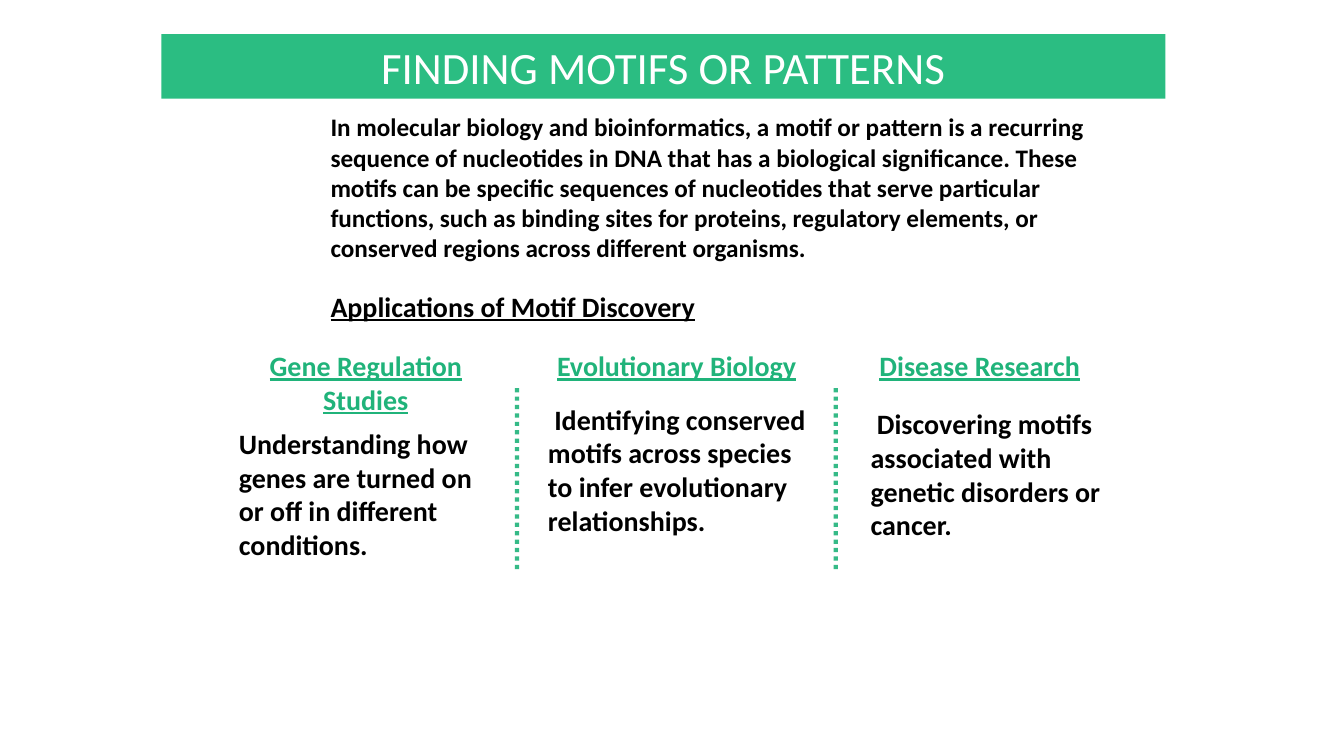
from lxml import etree
from pptx import Presentation
from pptx.dml.color import RGBColor
from pptx.enum.dml import MSO_LINE
from pptx.enum.shapes import MSO_CONNECTOR, MSO_SHAPE
from pptx.enum.text import MSO_ANCHOR, PP_ALIGN
from pptx.oxml.ns import qn
from pptx.util import Cm, Pt

LEFT, CENTER = PP_ALIGN.LEFT, PP_ALIGN.CENTER
MIDDLE = MSO_ANCHOR.MIDDLE
DOTTED = MSO_LINE.ROUND_DOT  # saved as sysDot
RECTANGLE, STRAIGHT = MSO_SHAPE.RECTANGLE, MSO_CONNECTOR.STRAIGHT
COLORS = {"banner": "20BA7C", "accent": "20B37A", "text": "000000", "title": "FFFFFF"}


def write(shape, text, size, color, align=LEFT, bold=True, underline=False):
    """Fill a shape with one wrapped, formatted paragraph."""
    frame = shape.text_frame
    frame.word_wrap = True
    frame.text = text
    paragraph = frame.paragraphs[0]
    paragraph.alignment = align
    font = paragraph.runs[0].font
    font.name = "Calibri"
    font.size = Pt(size)
    font.bold = bold
    font.underline = underline
    font.color.rgb = RGBColor.from_string(COLORS[color])


def set_opacity(fill_owner, percent):
    color = next(fill_owner.iter(qn("a:srgbClr")))
    etree.SubElement(color, qn("a:alpha")).set("val", str(percent * 1000))


prs = Presentation()
prs.slide_width, prs.slide_height = Cm(33.87), Cm(19.05)
slide = prs.slides.add_slide(prs.slide_layouts[6])
shapes = slide.shapes

banner = shapes.add_shape(RECTANGLE, Cm(4.07), Cm(0.86), Cm(25.3), Cm(1.63))
banner.shadow.inherit = False
banner.fill.solid()
banner.fill.fore_color.rgb = RGBColor.from_string(COLORS["banner"])
set_opacity(banner.fill._xPr, 95)
banner.line.fill.background()
banner.text_frame.vertical_anchor = MIDDLE
write(banner, "FINDING MOTIFS OR PATTERNS", 32, "title", CENTER, bold=False)

definition = shapes.add_textbox(Cm(8.08), Cm(2.69), Cm(20.62), Cm(3.81))
write(
    definition,
    "In molecular biology and bioinformatics, a motif or pattern is a recurring "
    "sequence of nucleotides in DNA that has a biological significance. These "
    "motifs can be specific sequences of nucleotides that serve particular "
    "functions, such as binding sites for proteins, regulatory elements, or "
    "conserved regions across different organisms.",
    18,
    "text",
)

applications = shapes.add_textbox(Cm(8.08), Cm(7.16), Cm(10.44), Cm(1.11))
write(applications, "Applications of Motif Discovery", 20, "text", underline=True)

# Heading, its left and width; description, its left, top, width and height (cm)
columns = [
    ("Gene Regulation Studies", 5.69, 7.06,
     "Understanding how genes are turned on or off in different conditions.",
     5.77, 10.62, 6.68, 3.76),
    ("Evolutionary Biology", 13.59, 6.93,
     " Identifying conserved motifs across species to infer evolutionary relationships.",
     13.56, 10.01, 6.99, 4.37),
    ("Disease Research", 21.39, 6.6,
     " Discovering motifs associated with genetic disorders or cancer.",
     21.69, 10.13, 6.32, 4.22),
]
for name, name_left, name_width, detail, left, top, width, height in columns:
    heading = shapes.add_textbox(Cm(name_left), Cm(8.66), Cm(name_width), Cm(1.11))
    write(heading, name, 20, "accent", CENTER, underline=True)
    description = shapes.add_textbox(Cm(left), Cm(top), Cm(width), Cm(height))
    write(description, detail, 20, "text")

for x in (13.03, 21.06):
    divider = shapes.add_connector(STRAIGHT, Cm(x), Cm(9.78), Cm(x), Cm(14.38))
    divider.line.color.rgb = RGBColor.from_string(COLORS["accent"])
    divider.line.width = Pt(3)
    divider.line.dash_style = DOTTED
    properties = divider._element.spPr
    set_opacity(properties, 90)
    etree.SubElement(properties, qn("a:effectLst"))

prs.save("out.pptx")
